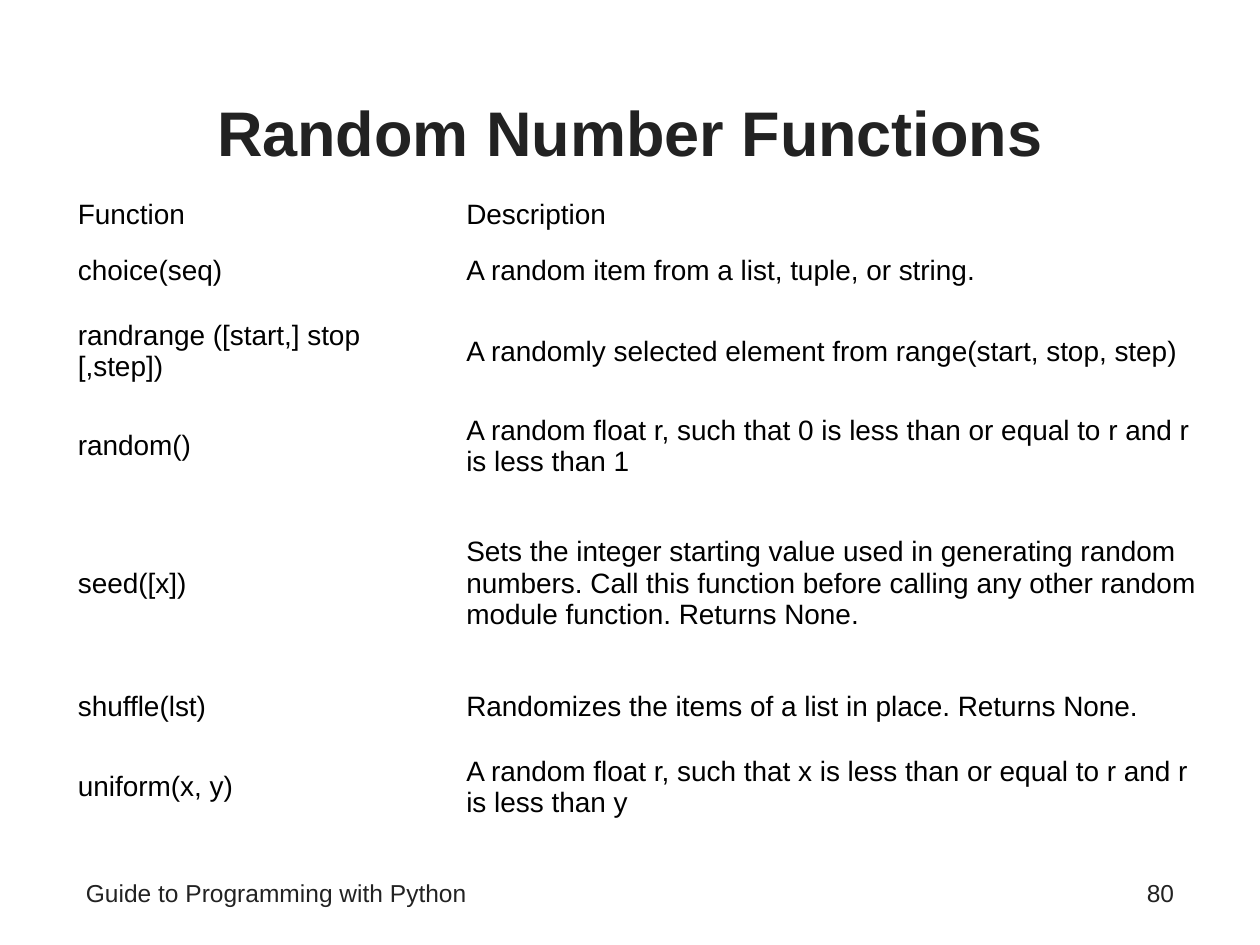
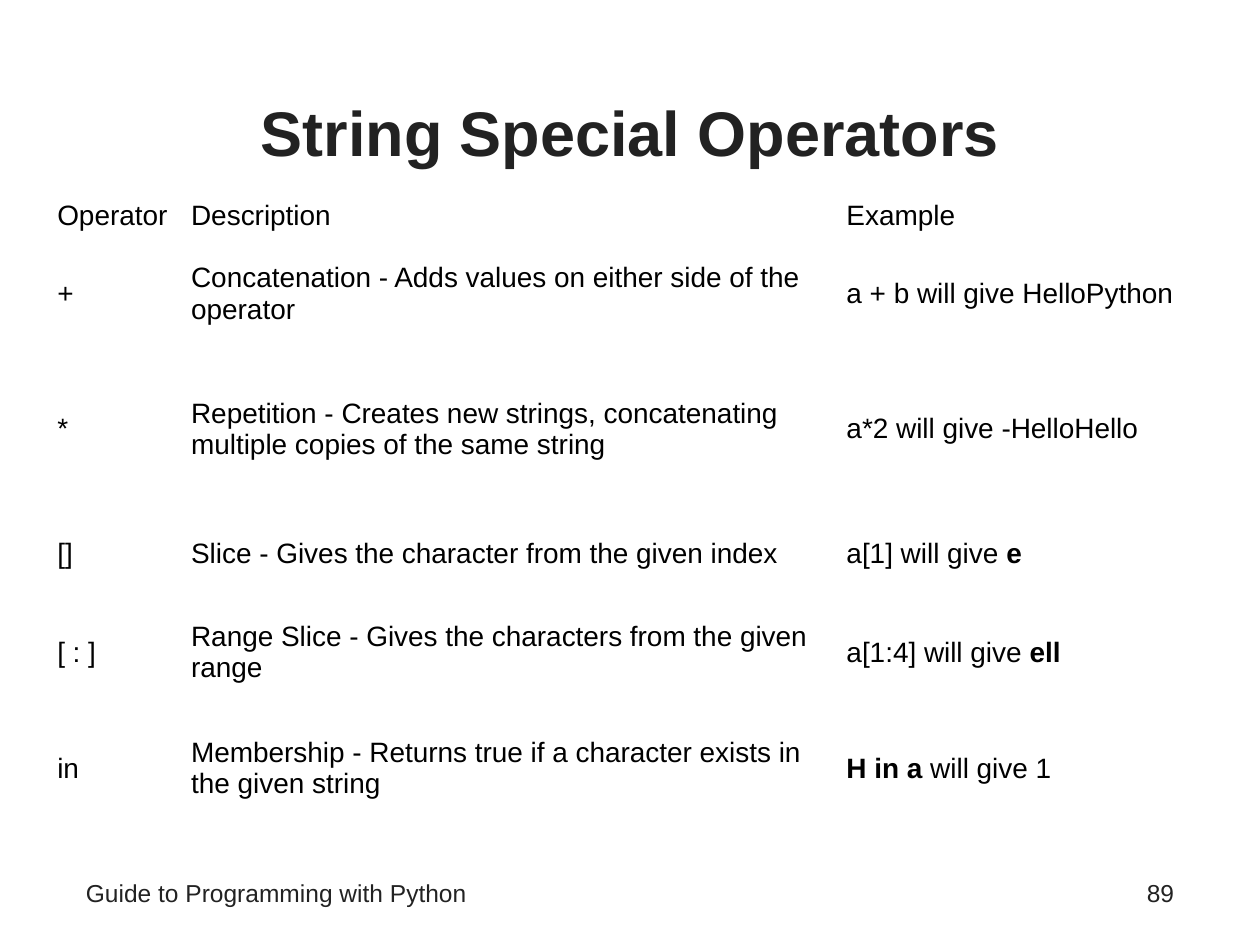
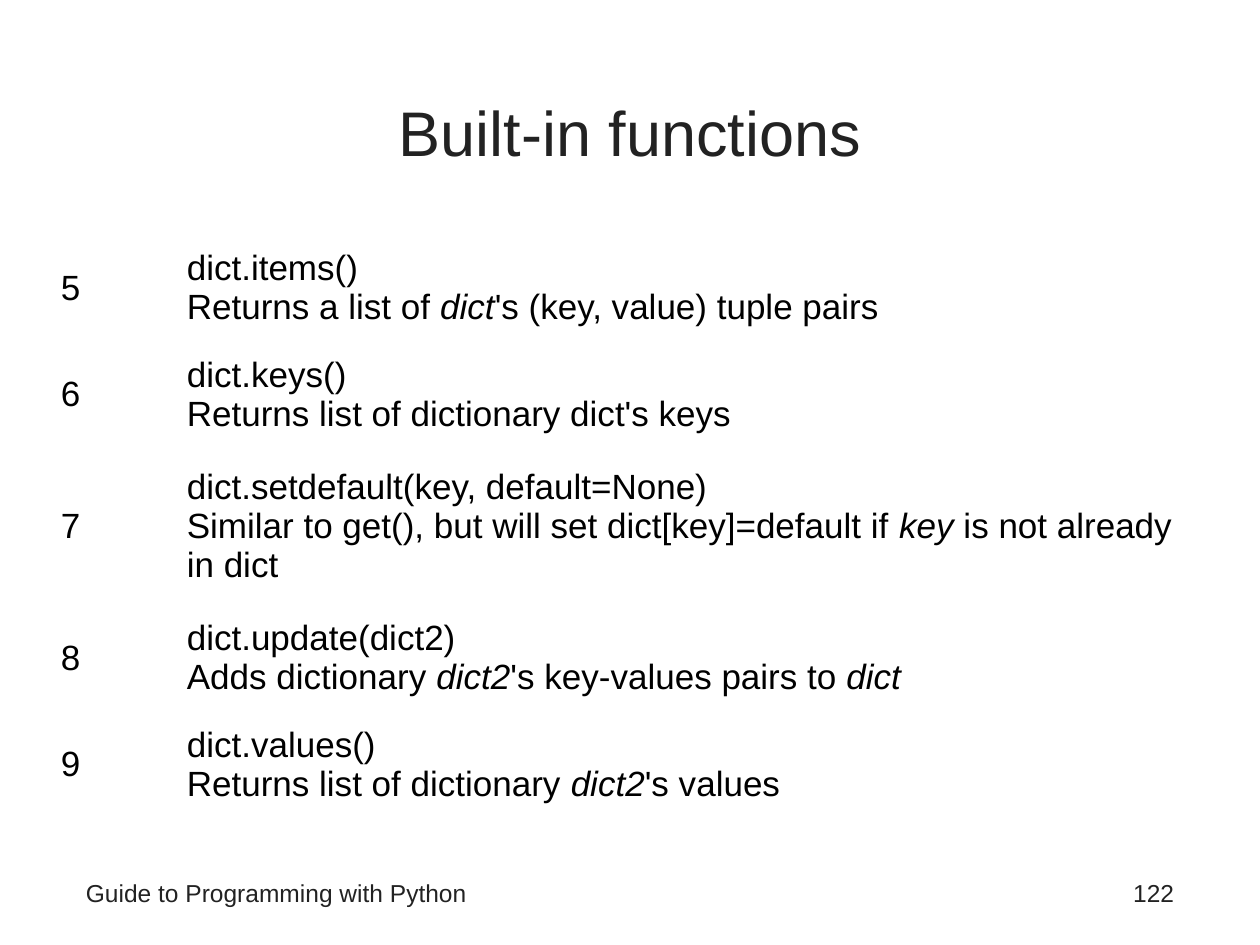
from pptx import Presentation
from pptx.dml.color import RGBColor
from pptx.enum import text
from pptx.util import Pt

COLORS = {"heading": "222222", "body": "000000", "background": "FFFFFF"}
FONT = "Arial"
FOOTER = "Guide to Programming with Python"


class Deck:
    """Holds the shared style and the slide being filled."""

    def __init__(self):
        self.prs = Presentation()
        self.prs.slide_width, self.prs.slide_height = Pt(720), Pt(540)
        fill = self.prs.slide_master.background.fill
        fill.solid()
        fill.fore_color.rgb = RGBColor.from_string(COLORS["background"])

    def style(self, p, size, color, align=text.PP_ALIGN.LEFT, bold=False):
        p.alignment = align
        p.font.name, p.font.size, p.font.bold = FONT, Pt(size), bold
        p.font.color.rgb = RGBColor.from_string(COLORS[color])

    def slide(self, title, number, bold=True):
        self.s = self.prs.slides.add_slide(self.prs.slide_layouts[5])
        self.title(title, bold)
        self.footer(FOOTER, 42, 462, text.PP_ALIGN.LEFT)
        self.footer(str(number), 516, 162, text.PP_ALIGN.RIGHT)

    def title(self, title, bold):
        sp = self.s.shapes.title
        sp.left, sp.top, sp.width, sp.height = Pt(42), Pt(30), Pt(636), Pt(90)
        tf = sp.text_frame
        tf.text = title
        tf.vertical_anchor = text.MSO_ANCHOR.MIDDLE
        self.style(tf.paragraphs[0], 36, "heading", text.PP_ALIGN.CENTER, bold)

    def footer(self, words, left, width, align):
        sp = self.s.shapes.add_textbox(Pt(left), Pt(498), Pt(width), Pt(30))
        tf = sp.text_frame
        tf.word_wrap = True
        tf.text = words
        self.style(tf.paragraphs[0], 14, "heading", align)

    def table(self, left, top, cols, heights, rows, size, inset, emphasis="bold"):
        """Draw a plain table; text between bars gets the emphasis."""
        table = self.s.shapes.add_table(
            len(rows), len(cols), Pt(left), Pt(top),
            Pt(sum(cols)), Pt(sum(heights))).table
        table.first_row = table.horz_banding = False
        for column, width in zip(table.columns, cols):
            column.width = Pt(width)
        for row, height, words in zip(table.rows, heights, rows):
            row.height = Pt(height)
            for cell, content in zip(row.cells, words):
                cell.fill.background()
                cell.vertical_anchor = text.MSO_ANCHOR.MIDDLE
                cell.margin_left = cell.margin_right = Pt(inset)
                p = cell.text_frame.paragraphs[0]
                self.style(p, size, "body")
                self.runs(p, content, emphasis)

    def runs(self, p, content, emphasis):
        for n, line in enumerate(content.split("\n")):
            if n:
                p.add_line_break()
            for i, part in enumerate(line.split("|")):
                if part:
                    r = p.add_run()
                    r.text = part
                    if i % 2:
                        setattr(r.font, emphasis, True)


def main():
    deck = Deck()

    # Random module
    deck.slide("Random Number Functions", 80)
    deck.table(39.5, 109.5, [222, 430.5], [24, 38, 54, 54, 103, 38, 54], [
        ("Function", "Description"),
        ("choice(seq)", "A random item from a list, tuple, or string."),
        ("randrange ([start,] stop [,step])",
         "A randomly selected element from range(start, stop, step)"),
        ("random()", "A random float r, such that 0 is less than or equal "
                     "to r and r is less than 1"),
        ("seed([x])", "Sets the integer starting value used in generating "
                      "random numbers. Call this function before calling any "
                      "other random module function. Returns None."),
        ("shuffle(lst)", "Randomizes the items of a list in place. Returns None."),
        ("uniform(x, y)", "A random float r, such that x is less than or equal "
                          "to r and r is less than y"),
    ], size=16, inset=5)

    # String operators
    deck.slide("String Special Operators", 89)
    deck.table(32, 110, [76.5, 374.5, 210], [22, 63, 91.5, 51, 62, 70.5], [
        ("Operator", "Description", "Example"),
        ("+", "Concatenation - Adds values on either side of the operator",
         "a + b will give HelloPython"),
        ("*", "Repetition - Creates new strings, concatenating multiple "
              "copies of the same string", "a*2 will give -HelloHello"),
        ("[]", "Slice - Gives the character from the given index",
         "a[1] will give |e|"),
        ("[ : ]", "Range Slice - Gives the characters from the given range",
         "a[1:4] will give |ell|"),
        ("in", "Membership - Returns true if a character exists in the "
               "given string", "|H in a| will give 1"),
    ], size=16, inset=0.75)

    # Dictionary methods, numbered on from the first four
    methods = [
        "dict.items()\nReturns a list of |dict|'s (key, value) tuple pairs",
        "dict.keys()\nReturns list of dictionary dict's keys",
        "dict.setdefault(key, default=None)\nSimilar to get(), but will set "
        "dict[key]=default if |key| is not already in dict",
        "dict.update(dict2)\nAdds dictionary |dict2|'s key-values pairs to |dict|",
        "dict.values()\nReturns list of dictionary |dict2|'s values",
    ]
    deck.slide("Built-in functions", 122, bold=False)
    deck.table(31, 134, [72, 587.5], [61, 61, 89.5, 61, 61],
               [(str(n), method) for n, method in enumerate(methods, 5)],
               size=20, inset=3.75, emphasis="italic")

    deck.prs.save("out.pptx")


if __name__ == "__main__":
    main()
